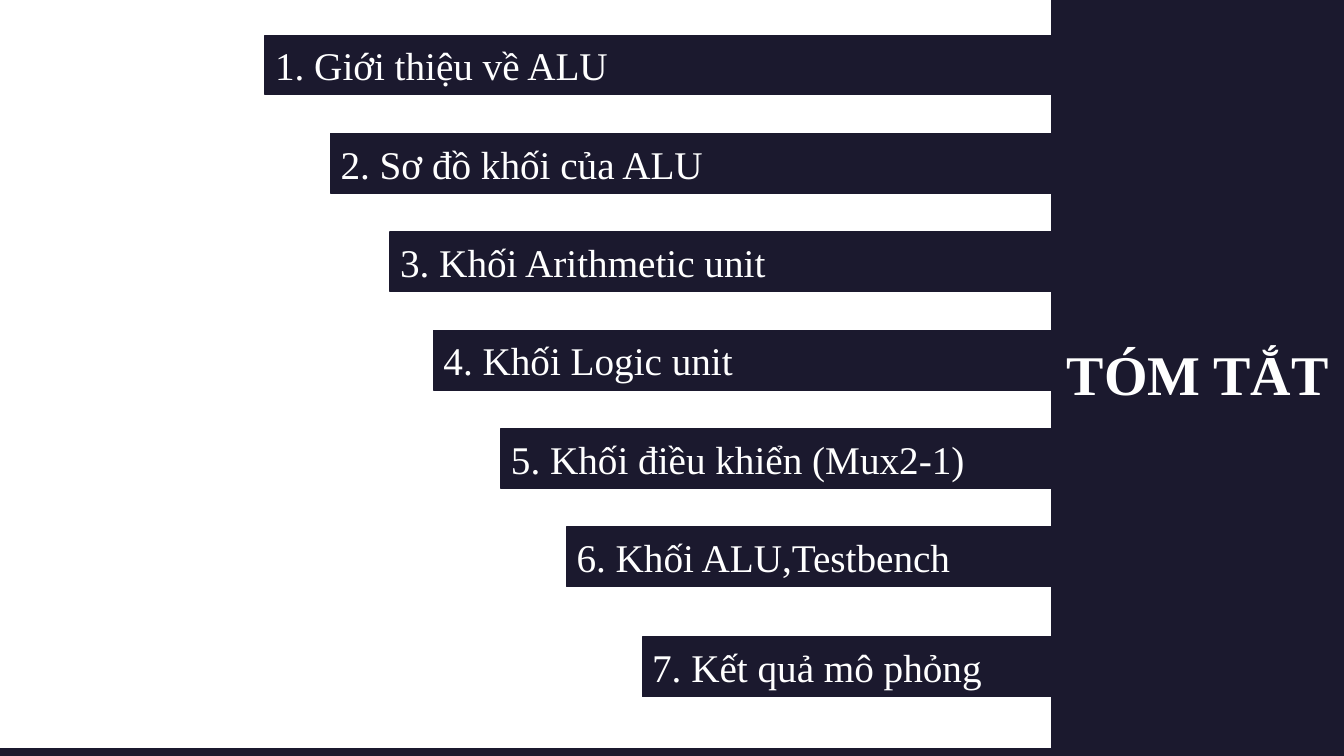
"""Build the agenda slide: stepped topic bars running into a title panel."""
import pptx
import pptx.dml.color
import pptx.enum.shapes
import pptx.enum.text
import pptx.util

Inches = pptx.util.Inches
Pt = pptx.util.Pt
NAVY = "1B192E"
WHITE = "FFFFFF"
FONT = "Times New Roman"
BAR_TOP, BAR_STEP, BAR_HEIGHT = 0.35, 0.976, 0.59
LAST_BAR_TOP = 6.32
TOPICS = [
    ("Giới thiệu về ALU", 2.63, 8.02),
    ("Sơ đồ khối của ALU", 3.28, 7.44),
    ("Khối Arithmetic unit", 3.87, 6.86),
    ("Khối Logic unit", 4.3, 6.22),
    ("Khối điều khiển (Mux2-1)", 4.97, 5.56),
    ("Khối ALU,Testbench", 5.62, 4.81),
    ("Kết quả mô phỏng", 6.37, 4.07),
]


def color(value):
    """Return the colour for a hex string."""
    return pptx.dml.color.RGBColor.from_string(value)


def add_block(page, left, top, width, height, fill):
    """Add a plain rectangle with a line of its own fill colour."""
    block = page.shapes.add_shape(
        pptx.enum.shapes.MSO_SHAPE.RECTANGLE,
        Inches(left), Inches(top), Inches(width), Inches(height))
    block.shadow.inherit = False
    block.fill.solid()
    block.fill.fore_color.rgb = color(fill)
    block.line.color.rgb = color(fill)
    block.line.width = Pt(1)
    return block


def add_label(block, text, size, align, bold=False):
    """Write one vertically centred white line in a block."""
    frame = block.text_frame
    frame.word_wrap = True
    frame.vertical_anchor = pptx.enum.text.MSO_ANCHOR.MIDDLE
    para = frame.paragraphs[0]
    para.alignment = align
    span = para.add_run()
    span.text = text
    span.font.name = FONT
    span.font.size = Pt(size)
    span.font.bold = bold
    span.font.color.rgb = color(WHITE)


def add_topic_bars(page):
    """Add the numbered bars, evenly spaced except for the lower last one."""
    align = pptx.enum.text.PP_ALIGN
    for index, (topic, left, width) in enumerate(TOPICS):
        is_last = index == len(TOPICS) - 1
        top = LAST_BAR_TOP if is_last else BAR_TOP + index * BAR_STEP
        bar = add_block(page, left, top, width, BAR_HEIGHT, NAVY)
        add_label(bar, f"{index + 1}. {topic}", 28, align.LEFT)


def main():
    """Build and save the deck."""
    deck = pptx.Presentation()
    deck.slide_width = Inches(13.33)
    deck.slide_height = Inches(7.5)
    page = deck.slides.add_slide(deck.slide_layouts[6])
    page.background.fill.solid()
    page.background.fill.fore_color.rgb = color(NAVY)
    add_block(page, 0, -0.09, 13.33, 7.5, WHITE)
    panel = add_block(page, 10.43, -0.09, 2.9, 7.59, NAVY)
    add_label(panel, "TÓM TẮT", 40, pptx.enum.text.PP_ALIGN.CENTER, bold=True)
    add_topic_bars(page)
    deck.save("out.pptx")


if __name__ == "__main__":
    main()
